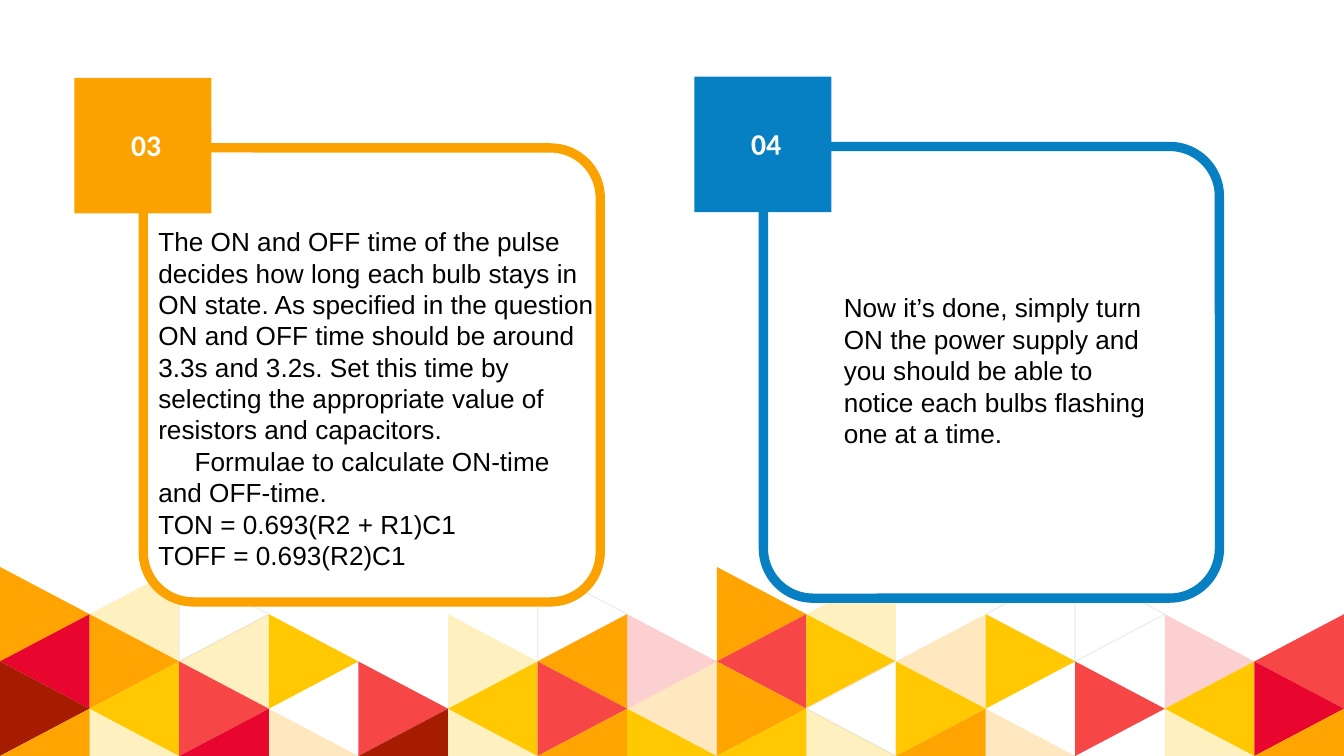
from lxml.etree import SubElement
from pptx import Presentation
from pptx.dml.color import RGBColor
from pptx.enum.shapes import MSO_SHAPE as Shape
from pptx.enum.text import MSO_ANCHOR as Anchor, PP_ALIGN as Align
from pptx.oxml.ns import qn
from pptx.util import Inches, Pt

AMBER = RGBColor(0xFF, 0xA4, 0x00)
YELLOW = RGBColor(0xFF, 0xC8, 0x00)
CORAL = RGBColor(0xF6, 0x46, 0x46)
CRIMSON = RGBColor(0xE8, 0x06, 0x2F)
BRICK = RGBColor(0xA6, 0x1C, 0x00)
WHITE = RGBColor(0xFF, 0xFF, 0xFF)
BLACK = RGBColor(0x00, 0x00, 0x00)
PALE_GREY = RGBColor(0xEF, 0xEF, 0xEF)
ORANGE = RGBColor(0xFB, 0xA2, 0x00)
BLUE = RGBColor(0x06, 0x80, 0xC3)

TRIANGLE_FILLS = {"A": AMBER, "Y": YELLOW, "R": CORAL, "C": CRIMSON, "B": BRICK, "W": WHITE}
TRIANGLE_ROWS = [
    "AyW...W.Ay.WW..",
    "CAyY.yArRYaY.rR",
    "BYR.RYRaAWY.RYC",
    "AyCaByAYYyAa.yA",
]

CARDS = [
    {
        "number": "03", "colour": ORANGE, "tilt": -0.4,
        "frame": (1.6, 3.13, 5.1, 9.61), "body": (1.62, 4.49, 5.21, 7.76),
        "paragraphs": [
            ("The ON and OFF time of the pulse decides how long each bulb stays in ON state. "
             "As specified in the question ON and OFF time should be around 3.3s and 3.2s. "
             "Set this time by selecting the appropriate value of resistors and capacitors.", 0),
            ("Formulae to calculate ON-time and OFF-time.", 0.27),
            ("TON = 0.693(R2 + R1)C1", 0),
            ("TOFF = 0.693(R2)C1", 0),
        ],
    },
    {
        "number": "04", "colour": BLUE, "tilt": -1.8,
        "frame": (8.52, 3.1, 5.09, 9.56), "body": (9.27, 5.89, 3.84, 4.21),
        "paragraphs": [
            ("Now it’s done, simply turn ON the power supply and you should be able to "
             "notice each bulbs flashing one at a time.", 0),
        ],
    },
]
BADGE = (-0.77, -1.48, 1.53, 2.87)
NUMBER = (-0.71, -1.08, 1.48, 2.02)
NUMBER_FONT = {"name": "Calibri", "size": Pt(16), "bold": True}
BODY_FONT = {"name": "Arial", "size": Pt(14)}
NUMBER_FRAME = {"word_wrap": True, "vertical_anchor": Anchor.MIDDLE}
BODY_FRAME = {"word_wrap": True, "margin_left": Inches(0.1), "margin_right": Inches(0.1),
              "margin_top": Inches(0.1), "margin_bottom": Inches(0.1)}

deck = Presentation()
deck.slide_width, deck.slide_height = Inches(10), Inches(5.625)
COLUMN = deck.slide_width / len(TRIANGLE_ROWS[0])
ROW = deck.slide_height / 16
FIRST_TRIANGLE_ROW = 12
shapes = deck.slides.add_slide(deck.slide_layouts[6]).shapes


def place(cells):
    left, top, width, height = cells
    return [round(n) for n in (left * COLUMN, top * ROW, width * COLUMN, height * ROW)]


def apply(target, values):
    for name, value in values.items():
        setattr(target, name, value)


def paint(part, fill, line=None, weight=0):
    part.shadow.inherit = False
    part.fill.solid()
    part.fill.fore_color.rgb = fill
    if line is None:
        part.line.fill.background()
    else:
        part.line.color.rgb = line
        part.line.width = Pt(weight)


def add_triangle(column, row, key):
    base, tip = (column, column + 1) if (column + row) % 2 == 0 else (column + 1, column)
    top = FIRST_TRIANGLE_ROW + row
    if row < len(TRIANGLE_ROWS) - 1:
        corners = [(base, top), (tip, top + 1), (base, top + 2)]
    else:
        corners = [(base, top), (tip, top + 1), (base, top + 1)]
    points = [(round(x * COLUMN), round(y * ROW)) for x, y in corners]
    outline = shapes.build_freeform(*points[0])
    outline.add_line_segments(points[1:], close=True)
    triangle = outline.convert_to_shape()
    paint(triangle, TRIANGLE_FILLS[key.upper()], PALE_GREY if key == "W" else None, 0.75)
    if key.islower():
        tint = triangle.fill._xPr.find(f"{qn('a:solidFill')}/{qn('a:srgbClr')}")
        SubElement(tint, qn("a:alpha"), val="25000")


def add_text(cells, paragraphs, font, colour, frame, align):
    box = shapes.add_textbox(*place(cells))
    apply(box.text_frame, frame)
    for index, (words, indent) in enumerate(paragraphs):
        paragraph = box.text_frame.add_paragraph() if index else box.text_frame.paragraphs[0]
        paragraph.alignment = align
        if indent:
            paragraph._p.get_or_add_pPr().set("indent", str(Inches(indent)))
        run = paragraph.add_run()
        run.text = words
        apply(run.font, font)
        run.font.color.rgb = colour
    return box


def add_card(card):
    left, top = card["frame"][:2]
    frame = shapes.add_shape(Shape.ROUNDED_RECTANGLE, *place(card["frame"]))
    frame.adjustments[0] = 0.11
    paint(frame, WHITE, card["colour"], 5)
    badge_cells, number_cells = (
        (left + dx, top + dy, width, height) for dx, dy, width, height in (BADGE, NUMBER))
    paint(shapes.add_shape(Shape.RECTANGLE, *place(badge_cells)), card["colour"])
    number = add_text(number_cells, [(card["number"], 0)], NUMBER_FONT, WHITE,
                      NUMBER_FRAME, Align.CENTER)
    number.rotation = card["tilt"]
    add_text(card["body"], card["paragraphs"], BODY_FONT, BLACK, BODY_FRAME, Align.LEFT)


for row, keys in enumerate(TRIANGLE_ROWS):
    for column, key in enumerate(keys):
        if key != ".":
            add_triangle(column, row, key)
for card in CARDS:
    add_card(card)

deck.save("out.pptx")
